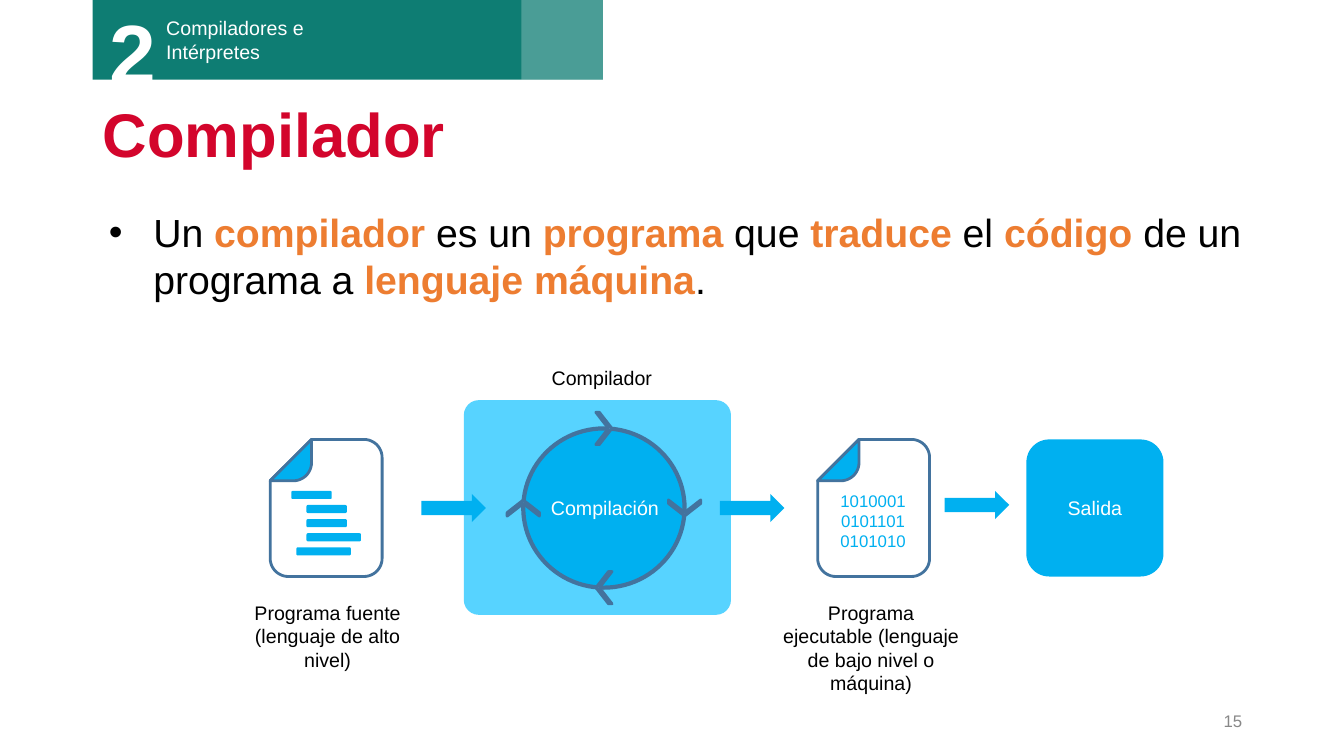
from dataclasses import dataclass
from math import cos, pi, sin

from lxml import etree
from pptx import Presentation
from pptx.dml.color import RGBColor
from pptx.enum.shapes import MSO_SHAPE
from pptx.enum.text import MSO_ANCHOR, MSO_AUTO_SIZE, PP_ALIGN
from pptx.oxml.ns import qn
from pptx.shapes.autoshape import Shape
from pptx.slide import Slide
from pptx.text.text import TextFrame
from pptx.util import Emu, Pt

RECT, ROUND, OVAL = MSO_SHAPE.RECTANGLE, MSO_SHAPE.ROUNDED_RECTANGLE, MSO_SHAPE.OVAL
ARROW, CHEVRON = MSO_SHAPE.RIGHT_ARROW, MSO_SHAPE.CHEVRON
LEFT, CENTER, RIGHT = PP_ALIGN.LEFT, PP_ALIGN.CENTER, PP_ALIGN.RIGHT
TOP, MIDDLE = MSO_ANCHOR.TOP, MSO_ANCHOR.MIDDLE
NO_FIT = MSO_AUTO_SIZE.NONE
EMU_PER_PX = 9144


@dataclass(frozen=True)
class Theme:
    font: str = "Arial"
    title: str = "D3052C"
    accent: str = "ED7D31"
    text: str = "000000"
    white: str = "FFFFFF"
    muted: str = "888888"
    teal: str = "0E7D73"
    blue: str = "00B0F0"
    pale: str = "57D3FF"
    steel: str = "5B9BD5"
    outline: str = "43739E"
    title_pt: int = 44
    body_pt: int = 28
    label_pt: int = 14
    small_pt: int = 12
    number_pt: int = 60


T = Theme()


@dataclass(frozen=True)
class Box:
    x: int
    y: int
    w: int
    h: int


@dataclass(frozen=True)
class Label:
    text: str
    box: Box
    color: str = T.text
    size: int = T.label_pt
    align: PP_ALIGN = CENTER
    anchor: MSO_ANCHOR = TOP
    bold: bool = False


PAGE_W, PAGE_H, FOLD, RADIUS = 111, 136, 41, 18
PAGE_Y = 436
PAGES = (268, 811)
CODE_BARS = ((21, 40), (36, 40), (36, 40), (36, 54), (26, 54))
ARROWS = ((418, 490), (714, 490), (937, 487))
CYCLE = Box(519, 425, 160, 158)
LABELS = (
    Label("Compilador", Box(499, 358, 196, 34)),
    Label("Compilación", Box(502, 487, 196, 34), T.white),
    Label("101000101011010101010", Box(821, 482, 90, 70), T.blue, T.small_pt),
    Label("Programa fuente\n(lenguaje de alto nivel)", Box(227, 591, 196, 81)),
    Label("Programa ejecutable (lenguaje de bajo nivel o máquina)", Box(766, 591, 196, 104)),
    Label("Compiladores e\nIntérpretes", Box(155, 11, 275, 57), T.white, align=LEFT),
    Label("2", Box(99, -4, 112, 111), T.white, T.number_pt, LEFT, bold=True),
    Label("15", Box(942, 695, 300, 40), T.muted, T.small_pt, RIGHT, MIDDLE),
)
DEFINITION = ("Un ", "compilador", " es un ", "programa", " que ", "traduce", " el ",
              "código", " de un programa a ", "lenguaje máquina", ".")


def px(n: float) -> Emu:
    return Emu(round(n * EMU_PER_PX))


def place(sp: Shape, box: Box) -> None:
    sp.left, sp.top, sp.width, sp.height = px(box.x), px(box.y), px(box.w), px(box.h)


def format_text(tf: TextFrame, color: str, size: int, align: PP_ALIGN,
                anchor: MSO_ANCHOR, bold: bool = False) -> None:
    tf.word_wrap = True
    tf.auto_size = NO_FIT
    tf.vertical_anchor = anchor
    for p in tf.paragraphs:
        p.alignment = align
        for r in p.runs:
            r.font.name, r.font.size, r.font.bold = T.font, Pt(size), bold
            r.font.color.rgb = RGBColor.from_string(color)


def paint(sp: Shape, fill: str, line: str = "", width: int = 0) -> None:
    sp.shadow.inherit = False
    sp.fill.solid()
    sp.fill.fore_color.rgb = RGBColor.from_string(fill)
    if line:
        sp.line.color.rgb = RGBColor.from_string(line)
        sp.line.width = Pt(width)
    else:
        sp.line.fill.background()


def add_block(s: Slide, kind: MSO_SHAPE, box: Box, fill: str,
              line: str = "", width: int = 0) -> Shape:
    sp = s.shapes.add_shape(kind, px(box.x), px(box.y), px(box.w), px(box.h))
    paint(sp, fill, line, width)
    return sp


def add_label(s: Slide, label: Label) -> None:
    b = label.box
    tf = s.shapes.add_textbox(px(b.x), px(b.y), px(b.w), px(b.h)).text_frame
    tf.text = label.text
    format_text(tf, label.color, label.size, label.align, label.anchor, label.bold)


def corner(cx: int, cy: int, quarter: int) -> list[tuple[float, float]]:
    angles = [(quarter + i / 12) * pi / 2 for i in range(13)]
    return [(cx + RADIUS * cos(a), cy + RADIUS * sin(a)) for a in angles]


def add_outline(s: Slide, x: int, y: int, points: list[tuple[float, float]], fill: str) -> None:
    vertices = [(px(x + dx), px(y + dy)) for dx, dy in points]
    builder = s.shapes.build_freeform(*vertices[0])
    builder.add_line_segments(vertices[1:], close=True)
    paint(builder.convert_to_shape(), fill, T.outline, 2)


def add_page(s: Slide, x: int, y: int) -> None:
    right, bottom = PAGE_W - RADIUS, PAGE_H - RADIUS
    sheet = [(FOLD, 0), *corner(right, RADIUS, 3), *corner(right, bottom, 0),
             *corner(RADIUS, bottom, 1), (0, FOLD)]
    fold = [(FOLD, 0), *corner(FOLD - RADIUS, FOLD - RADIUS, 0), (0, FOLD)]
    add_outline(s, x, y, sheet, T.white)
    add_outline(s, x, y, fold, T.blue)


def add_cycle(s: Slide) -> None:
    c = CYCLE
    add_block(s, OVAL, c, T.blue, T.outline, 3)
    for quarter in range(4):
        a = quarter * pi / 2
        cx = c.x + c.w / 2 * (1 + sin(a))
        cy = c.y + c.h / 2 * (1 - cos(a))
        sp = add_block(s, CHEVRON, Box(round(cx - 8), round(cy - 16), 16, 32),
                       T.steel, T.outline, 2)
        sp.adjustments[0] = 0.78
        sp.rotation = quarter * 90


def add_heading(s: Slide) -> None:
    title = s.shapes.title
    place(title, Box(92, 93, 1150, 86))
    title.text_frame.text = "Compilador"
    format_text(title.text_frame, T.title, T.title_pt, LEFT, MIDDLE, True)
    title.text_frame.paragraphs[0].line_spacing = 0.9


def add_definition(s: Slide) -> None:
    body = s.placeholders[1]
    place(body, Box(92, 202, 1150, 157))
    p = body.text_frame.paragraphs[0]
    pPr = p._p.get_or_add_pPr()
    pPr.set("marL", str(px(50)))
    pPr.set("indent", str(px(-44)))
    color = etree.SubElement(pPr, qn("a:buClr"))
    etree.SubElement(color, qn("a:srgbClr"), val=T.text)
    etree.SubElement(pPr, qn("a:buFont"), typeface=T.font)
    etree.SubElement(pPr, qn("a:buChar"), char="•")
    p.space_before = Pt(0)
    for part in DEFINITION:
        p.add_run().text = part
    format_text(body.text_frame, T.text, T.body_pt, LEFT, TOP)
    for r in p.runs[1::2]:
        r.font.bold = True
        r.font.color.rgb = RGBColor.from_string(T.accent)


def add_banner(s: Slide) -> None:
    add_block(s, RECT, Box(92, -1, 506, 80), T.teal)
    veil = add_block(s, RECT, Box(517, -1, 81, 80), T.white)
    color = veil.fill._xPr.find(qn("a:solidFill"))[0]
    etree.SubElement(color, qn("a:alpha"), val="25000")


def main() -> None:
    prs = Presentation()
    prs.slide_width, prs.slide_height = px(1333), px(750)
    s = prs.slides.add_slide(prs.slide_layouts[1])
    add_heading(s)
    add_definition(s)
    add_block(s, ROUND, Box(460, 397, 265, 213), T.pale).adjustments[0] = 0.07
    for x in PAGES:
        add_page(s, x, PAGE_Y)
    for i, (dx, width) in enumerate(CODE_BARS):
        add_block(s, ROUND, Box(PAGES[0] + dx, PAGE_Y + 51 + 14 * i, width, 8), T.blue)
    for x, y in ARROWS:
        add_block(s, ARROW, Box(x, y, 64, 28), T.blue)
    add_cycle(s)
    output = add_block(s, ROUND, Box(1018, PAGE_Y, 136, 136), T.blue)
    output.text_frame.text = "Salida"
    format_text(output.text_frame, T.white, T.label_pt, CENTER, MIDDLE)
    add_banner(s)
    for label in LABELS:
        add_label(s, label)
    prs.save("out.pptx")


if __name__ == "__main__":
    main()
